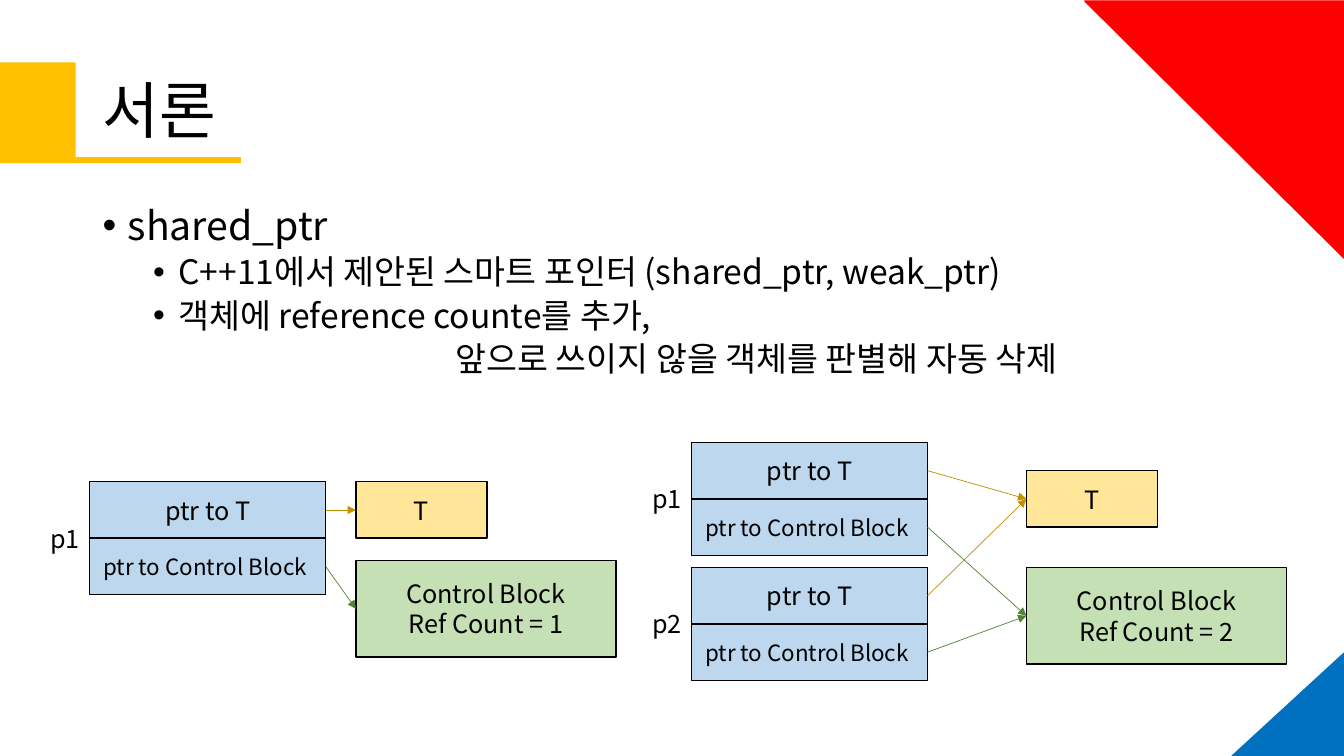
import pptx
import pptx.dml.color
import pptx.enum.shapes
import pptx.enum.text
import pptx.oxml.ns
import pptx.util
from dataclasses import dataclass
from lxml import etree

Inches, Pt = pptx.util.Inches, pptx.util.Pt
RGB = pptx.dml.color.RGBColor.from_string
SHAPE = pptx.enum.shapes.MSO_SHAPE
ALIGN = pptx.enum.text.PP_ALIGN
ANCHOR = pptx.enum.text.MSO_ANCHOR
qn = pptx.oxml.ns.qn


@dataclass(frozen=True)
class Theme:
    font: str = "Noto Sans CJK KR"
    ink: str = "000000"
    accent: str = "FFC000"
    red: str = "FF0000"
    blue: str = "0070C0"
    pointer: str = "BDD7EE"
    target: str = "FFE699"
    block: str = "C5E0B4"
    target_arrow: str = "BF9000"
    block_arrow: str = "548235"
    title: int = 44
    heading: int = 28
    bullet: int = 24
    label: int = 18
    small: int = 16


theme = Theme()


def add_run(p, text, size):
    r = p.add_run()
    r.text = text
    r.font.name = theme.font
    r.font.size = Pt(size)
    r.font.color.rgb = RGB(theme.ink)
    etree.SubElement(r.font._element, qn("a:ea"), typeface=theme.font)


def add_box(shapes, kind, box, fill, line=None, lines=(), size=theme.label):
    sp = shapes.add_shape(kind, *map(Inches, box))
    sp.shadow.inherit = False
    sp.fill.solid()
    sp.fill.fore_color.rgb = RGB(fill)
    if line:
        sp.line.color.rgb = RGB(line)
        sp.line.width = Pt(1)
    else:
        sp.line.fill.background()
    tf = sp.text_frame
    tf.vertical_anchor = ANCHOR.MIDDLE
    for i, text in enumerate(lines):
        p = tf.add_paragraph() if i else tf.paragraphs[0]
        p.alignment = ALIGN.CENTER
        add_run(p, text, size)
    return sp


prs = pptx.Presentation()
prs.slide_width, prs.slide_height = Inches(13.33), Inches(7.5)
s = prs.slides.add_slide(prs.slide_layouts[6])

# Corner triangles and title accent
for box, color, turn in [((12.22, 6.48, 1.11, 1.02), theme.blue, 0),
                         ((10.77, 0, 2.55, 2.57), theme.red, 270)]:
    sp = add_box(s.shapes, SHAPE.ISOSCELES_TRIANGLE, box, color, color)
    sp.adjustments[0] = 1
    sp.rotation = turn
accent = s.shapes.add_group_shape()
for box in [(0, 0.62, 0.75, 1), (0, 1.56, 2.39, 0.06)]:
    add_box(accent.shapes, SHAPE.RECTANGLE, box, theme.accent)

# Title
sp = s.shapes.add_textbox(Inches(0.92), Inches(0.4), Inches(11.5), Inches(1.45))
tf = sp.text_frame
tf.word_wrap = True
tf.vertical_anchor = ANCHOR.MIDDLE
p = tf.paragraphs[0]
p.line_spacing = 0.9
add_run(p, "서론", theme.title)

# Body: text, size, left margin, bulleted
body = [
    ("shared_ptr", theme.heading, 0.25, True),
    ("C++11에서 제안된 스마트 포인터 (shared_ptr, weak_ptr)", theme.bullet, 0.75, True),
    ("객체에 reference counte를 추가,", theme.bullet, 0.75, True),
    ("앞으로 쓰이지 않을 객체를 판별해 자동 삭제", theme.bullet, 3.5, False),
]
sp = s.shapes.add_textbox(Inches(0.92), Inches(2), Inches(11.5), Inches(4.76))
tf = sp.text_frame
tf.word_wrap = True
for i, (text, size, margin, bulleted) in enumerate(body):
    p = tf.add_paragraph() if i else tf.paragraphs[0]
    p.level = min(i, 1)
    p.line_spacing = 0.9
    p.space_before = Pt(5 if i else 0)
    pPr = p._p.get_or_add_pPr()
    pPr.set("marL", str(Inches(margin)))
    pPr.set("indent", str(Inches(-0.25 if bulleted else 0)))
    if bulleted:
        etree.SubElement(pPr, qn("a:buFont"), typeface="Arial")
        etree.SubElement(pPr, qn("a:buChar"), char="•")
    else:
        etree.SubElement(pPr, qn("a:buNone"))
    add_run(p, text, size)

# Diagrams: pointers (name, left, top), T position, control block position, count
ROW, POINTER_W, T_W, BLOCK_W, BLOCK_H = 0.56, 2.34, 1.3, 2.58, 0.96
diagrams = [
    ([("p1", 0.89, 4.78)], (3.53, 4.78), (3.53, 5.56), 1),
    ([("p1", 6.86, 4.39), ("p2", 6.86, 5.63)], (10.18, 4.67), (10.18, 5.63), 2),
]
for pointers, t_at, block_at, count in diagrams:
    add_box(s.shapes, SHAPE.RECTANGLE, (*t_at, T_W, ROW), theme.target, theme.ink, ["T"])
    add_box(s.shapes, SHAPE.RECTANGLE, (*block_at, BLOCK_W, BLOCK_H), theme.block,
            theme.ink, ["Control Block", f"Ref Count = {count}"])
    for name, left, top in pointers:
        # Pointer cells and their label
        group = s.shapes.add_group_shape()
        rows = [
            ("ptr to T", theme.label, t_at, ROW, theme.target_arrow),
            ("ptr to Control Block ", theme.small, block_at, BLOCK_H, theme.block_arrow),
        ]
        for i, (text, size, goal, goal_h, color) in enumerate(rows):
            y = top + i * ROW
            add_box(group.shapes, SHAPE.RECTANGLE, (left, y, POINTER_W, ROW),
                    theme.pointer, theme.ink, [text], size)
            # Arrow from the cell to what it points at
            cx = s.shapes.add_connector(
                pptx.enum.shapes.MSO_CONNECTOR.STRAIGHT,
                Inches(left + POINTER_W), Inches(y + ROW / 2),
                Inches(goal[0]), Inches(goal[1] + goal_h / 2))
            cx.line.color.rgb = RGB(color)
            cx.line.width = Pt(0.5)
            etree.SubElement(cx.line._get_or_add_ln(), qn("a:tailEnd"), type="triangle")
            etree.SubElement(cx._element.spPr, qn("a:effectLst"))
        sp = group.shapes.add_textbox(Inches(left - 0.49), Inches(top + ROW - 0.2),
                                      Inches(0.49), Inches(0.4))
        tf = sp.text_frame
        tf.word_wrap = True
        tf.margin_right = 0  # room for the name on one line
        add_run(tf.paragraphs[0], name, theme.label)

prs.save("out.pptx")
